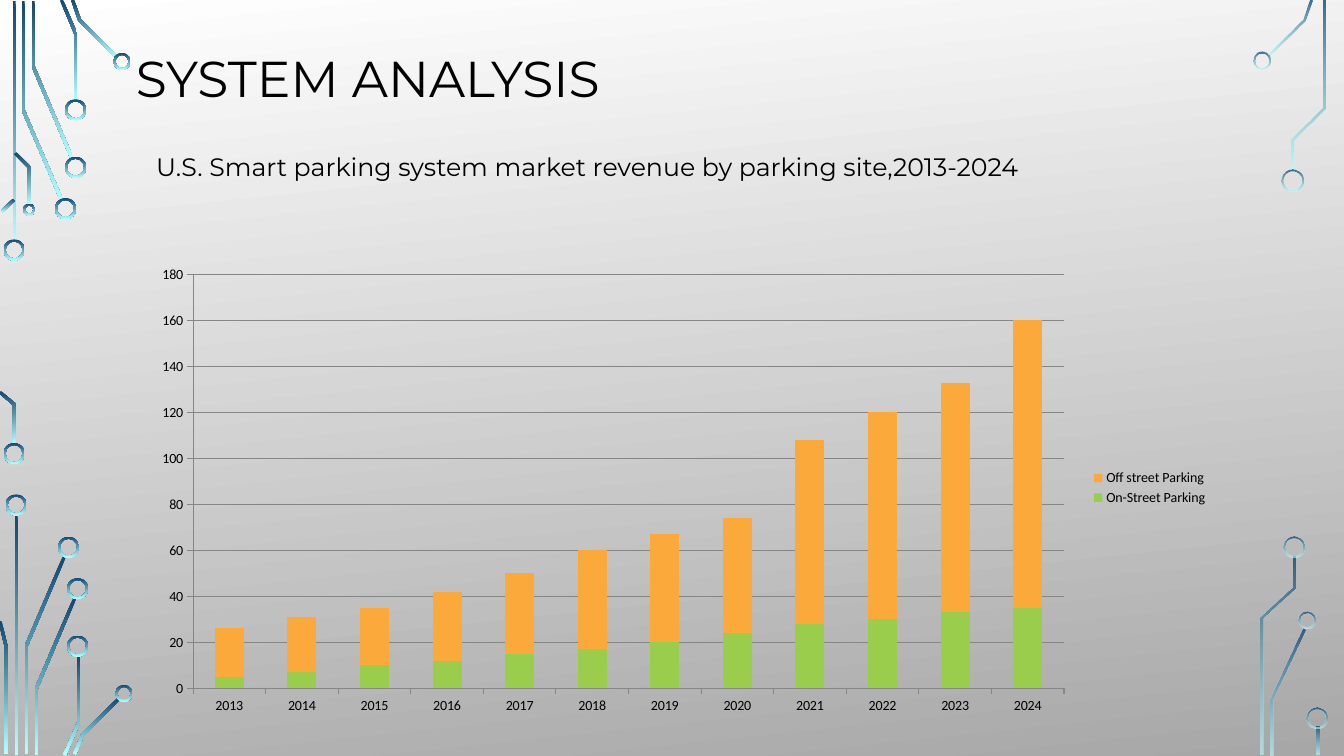
from math import hypot

from pptx import Presentation, util as u
from pptx.chart.data import CategoryChartData
from pptx.dml.color import RGBColor
from pptx.enum import chart as ch, shapes as sh, text as tx
from pptx.oxml.ns import qn

BLACK, GREY = "000000", "868686"
WIDTH, BAND = 0.03, 0.02  # trace width, ring thickness
FADE = (80, 60)

# Centre lines of the circuit traces
LEFT_LINES = [
    [(0.14, 0.01), (0.14, 2.4)],
    [(0.23, 0.01), (0.23, 1.09), (0.61, 1.98)],
    [(0.33, 0.01), (0.33, 0.66), (0.71, 1.56)],
    [(0.61, 0), (0.75, 0.33), (0.75, 1)],
    [(0.72, 0), (0.79, 0.2), (1.16, 0.57)],
    [(0.02, 2.1), (0.14, 1.98)],
    [(0, 3.89), (0.14, 4.01), (0.14, 4.41)],
    [(0.15, 1.52), (0.29, 1.66), (0.29, 2.03)],
    [(0.16, 5.1), (0.16, 7.49)],
    [(0.26, 7.48), (0.26, 6.41), (0.64, 5.52)],
    [(0.06, 7.48), (0.06, 6.41), (0, 6.16)],
    [(0.36, 7.49), (0.36, 6.83), (0.74, 5.94)],
    [(0.64, 7.49), (0.78, 7.17), (0.78, 6.5)],
    [(0.74, 7.48), (0.82, 7.29), (1.18, 6.93)],
]
RIGHT_LINES = [
    [(12.57, 0.56), (12.93, 0.2), (13, 0)],
    [(12.62, 7.49), (12.62, 6.93), (12.93, 6.24)],
    [(12.82, 1.69), (12.82, 1.38), (13.13, 1.07), (13.13, 0.01)],
    [(12.52, 7.49), (12.52, 6.13), (12.83, 5.83), (12.83, 5.52)],
    [(13.07, 7.21), (13.07, 7.49)],
]
# Ring centres by diameter
LEFT_RINGS = {
    0.21: [(0.14, 2.48), (0.14, 4.5), (0.65, 2.07), (0.75, 1.66), (0.75, 1.09),
           (0.16, 5.01), (0.68, 5.43), (0.77, 5.84), (0.77, 6.41)],
    0.17: [(1.21, 0.61), (1.23, 6.88)],
    0.12: [(0.29, 2.08)],
}
RIGHT_RINGS = {
    0.21: [(12.82, 1.79), (12.83, 5.43), (13.06, 7.12)],
    0.17: [(12.52, 0.6), (12.96, 6.15)],
}

YEARS = [str(year) for year in range(2013, 2025)]
SERIES = [
    ("On-Street Parking", "9ACD4C",
     [5, 7, 10, 12, 15, 17, 20, 24, 28, 30, 33, 35]),
    ("Off street Parking", "FAA93A",
     [21, 24, 25, 30, 35, 43, 47, 50, 80, 90, 100, 125]),
]


def rgb(code):
    return RGBColor.from_string(code)


def blend(fill, first, last, angle):
    """Fill with a linear gradient; the angle runs clockwise."""
    fill.gradient()
    fill.gradient_angle = 360 - angle
    for stop, code, pos in zip(fill.gradient_stops, (first, last), (0, 1)):
        stop.color.rgb = rgb(code)
        stop.position = pos


def paint(shape, fade):
    """Apply the circuit gradient, with opacity percentages if given."""
    shape.shadow.inherit = False
    shape.line.fill.background()
    blend(shape.fill, "134770", "B4FFFF", 90)
    if fade:
        stops = shape._element.spPr.iter(qn("a:srgbClr"))
        for color, share in zip(stops, fade):
            alpha = color.makeelement(qn("a:alpha"), {"val": str(share * 1000)})
            color.append(alpha)


def ribbon(line):
    """Outline of a mitred band around a centre line."""
    norms = []
    for (ax, ay), (bx, by) in zip(line, line[1:]):
        size = hypot(bx - ax, by - ay)
        norms.append(((ay - by) / size, (bx - ax) / size))
    near, far = [], []
    for (x, y), (px, py), (qx, qy) in zip(line, norms[:1] + norms, norms + norms[-1:]):
        part = WIDTH / 2 / (1 + px * qx + py * qy)
        dx, dy = (px + qx) * part, (py + qy) * part
        near.append((x + dx, y + dy))
        far.append((x - dx, y - dy))
    return near + far[::-1]


def trace(slide, line, fade):
    dots = [(u.Inches(x), u.Inches(y)) for x, y in ribbon(line)]
    path = slide.shapes.build_freeform(*dots[0])
    path.add_line_segments(dots[1:], close=True)
    paint(path.convert_to_shape(), fade)


def ring(slide, x, y, size, fade):
    shape = slide.shapes.add_shape(
        sh.MSO_SHAPE.DONUT, u.Inches(x - size / 2), u.Inches(y - size / 2),
        u.Inches(size), u.Inches(size))
    shape.adjustments[0] = BAND / size
    paint(shape, fade)


def circuit(slide, lines, rings, fade=None):
    for line in lines:
        trace(slide, line, fade)
    for size, spots in rings.items():
        for x, y in spots:
            ring(slide, x, y, size, fade)


def label(slide, box, words, size, anchor=tx.MSO_ANCHOR.TOP, space=1.0):
    frame = slide.shapes.add_textbox(*map(u.Inches, box)).text_frame
    frame.word_wrap = True
    frame.vertical_anchor = anchor
    para = frame.paragraphs[0]
    para.line_spacing = space
    run = para.add_run()
    run.text = words
    run.font.name = "Montserrat"
    run.font.size = u.Pt(size)
    run.font.color.rgb = rgb(BLACK)


def stroke(line):
    line.color.rgb = rgb(GREY)
    line.width = u.Pt(0.75)


def place(plot, box):
    """Fix the inner plot area, in shares of the chart."""
    layout = plot.find(qn("c:layout"))
    if layout is None:
        layout = plot.makeelement(qn("c:layout"), {})
        plot.insert(0, layout)
    pairs = [("layoutTarget", "inner"), ("xMode", "edge"), ("yMode", "edge")]
    pairs += zip("xywh", map(str, box))
    manual = layout.makeelement(qn("c:manualLayout"), {})
    layout.append(manual)
    for tag, val in pairs:
        manual.append(manual.makeelement(qn("c:" + tag), {"val": val}))


def revenue(slide):
    data = CategoryChartData()
    data.categories = YEARS
    for name, _, vals in SERIES:
        data.add_series(name, vals)
    chart = slide.shapes.add_chart(
        ch.XL_CHART_TYPE.COLUMN_STACKED,
        *map(u.Inches, (1.48, 2.51, 10.6, 4.66)), data).chart
    chart.has_title = False
    chart.font.name = "Calibri"
    chart.font.size = u.Pt(10)
    chart.font.color.rgb = rgb(BLACK)
    chart.has_legend = True
    chart.legend.position = ch.XL_LEGEND_POSITION.RIGHT
    chart.legend.include_in_layout = False
    plot = chart.plots[0]
    plot.gap_width, plot.overlap = 150, 100
    plot.vary_by_categories = False
    for bars, (_, code, _) in zip(plot.series, SERIES):
        bars.format.fill.solid()
        bars.format.fill.fore_color.rgb = rgb(code)
    for axis in (chart.category_axis, chart.value_axis):
        axis.major_tick_mark = ch.XL_TICK_MARK.OUTSIDE
        stroke(axis.format.line)
    scale = chart.value_axis
    scale.minimum_scale, scale.maximum_scale, scale.major_unit = 0, 180, 20
    stroke(scale.major_gridlines.format.line)
    place(chart._chartSpace.chart.plotArea, (0.041, 0.046, 0.815, 0.881))


def main():
    deck = Presentation()
    deck.slide_width, deck.slide_height = u.Inches(13.33), u.Inches(7.5)
    slide = deck.slides.add_slide(deck.slide_layouts[6])
    blend(slide.background.fill, "FFFFFF", "A7A7A7", 84)
    circuit(slide, LEFT_LINES, LEFT_RINGS)
    circuit(slide, RIGHT_LINES, RIGHT_RINGS, FADE)
    label(slide, (1.25, 0, 10.83, 1.62), "SYSTEM ANALYSIS", 36,
          tx.MSO_ANCHOR.MIDDLE, 0.9)
    revenue(slide)
    label(slide, (1.45, 1.45, 10.51, 0.4),
          "U.S. Smart parking system market revenue by parking site,2013-2024", 18)
    deck.save("out.pptx")


if __name__ == "__main__":
    main()
